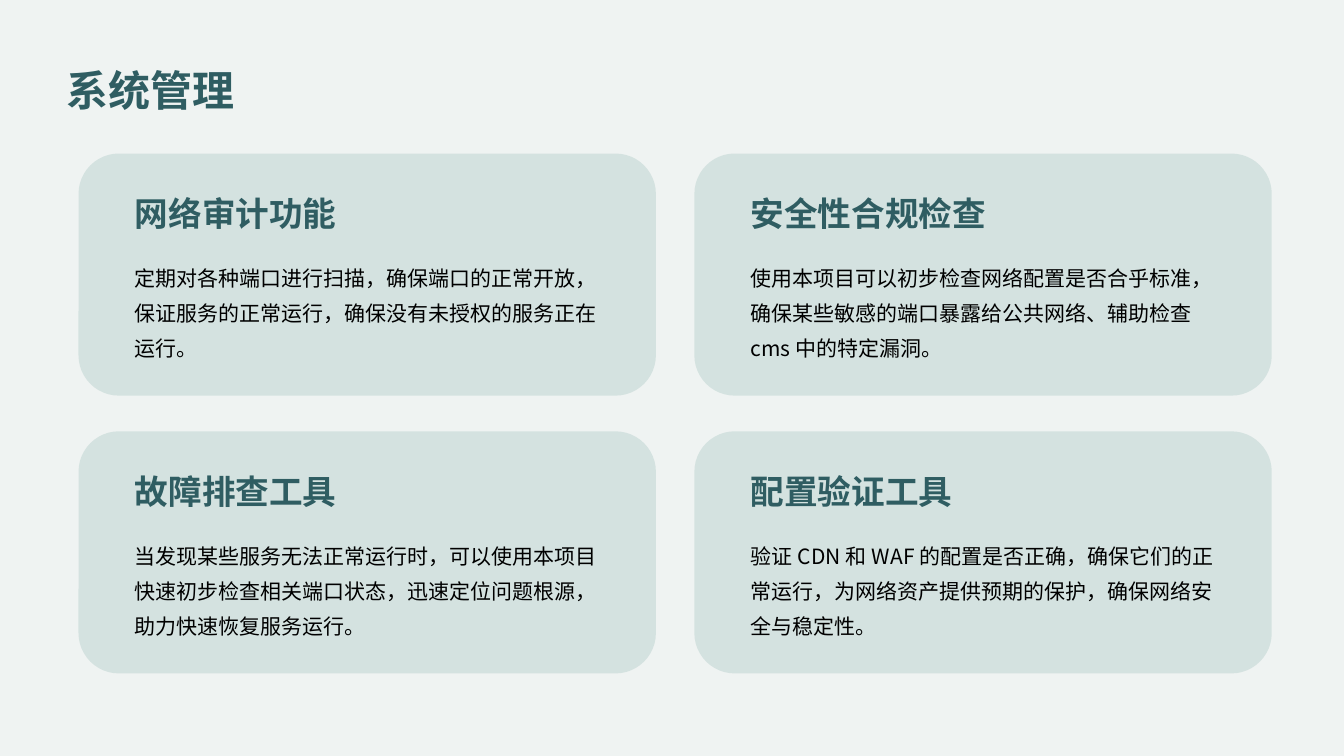
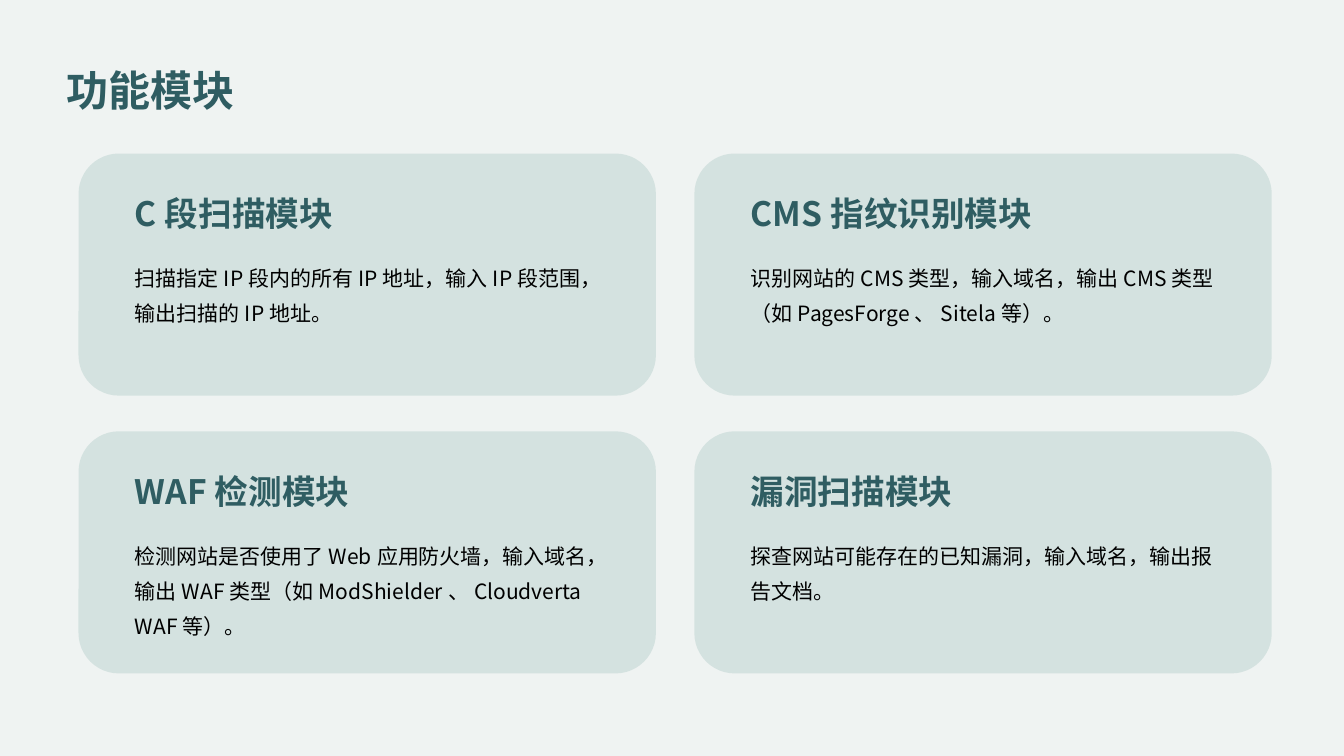
from lxml import etree
from pptx import Presentation
from pptx.dml.color import RGBColor
from pptx.enum.shapes import MSO_SHAPE
from pptx.enum.text import MSO_ANCHOR
from pptx.oxml.ns import qn
from pptx.util import Cm, Pt

ROUNDED = MSO_SHAPE.ROUNDED_RECTANGLE
TOP, MIDDLE, BOTTOM = MSO_ANCHOR.TOP, MSO_ANCHOR.MIDDLE, MSO_ANCHOR.BOTTOM

FONT = "Noto Sans CJK SC"
PAPER, CARD, TEAL, INK = "EFF3F2", "CEDEDC", "2F5D62", "000000"
CARD_OPACITY = 80

GRID_LEFT, GRID_TOP = 1.98, 3.87
CARD_W, CARD_H = 14.55, 6.1
GAP_X, GAP_Y = 0.97, 0.9

SLIDES = [
    ("系统管理", [
        ("网络审计功能",
         "定期对各种端口进行扫描，确保端口的正常开放，保证服务的正常运行，确保没有未授权的服务正在运行。"),
        ("安全性合规检查",
         "使用本项目可以初步检查网络配置是否合乎标准，确保某些敏感的端口暴露给公共网络、辅助检查cms中的特定漏洞。"),
        ("故障排查工具",
         "当发现某些服务无法正常运行时，可以使用本项目快速初步检查相关端口状态，迅速定位问题根源，助力快速恢复服务运行。"),
        ("配置验证工具",
         "验证CDN和WAF的配置是否正确，确保它们的正常运行，为网络资产提供预期的保护，确保网络安全与稳定性。"),
    ]),
    ("功能模块", [
        ("C段扫描模块",
         "扫描指定IP段内的所有IP地址，输入IP段范围，输出扫描的IP地址。"),
        ("CMS指纹识别模块",
         "识别网站的CMS类型，输入域名，输出CMS类型（如PagesForge、Sitela等）。"),
        ("WAF检测模块",
         "检测网站是否使用了Web应用防火墙，输入域名，输出WAF类型（如ModShielder、Cloudverta WAF等）。"),
        ("漏洞扫描模块",
         "探查网站可能存在的已知漏洞，输入域名，输出报告文档。"),
    ]),
]


def paint(fill, color, opacity=100):
    """Fill solidly with a hex colour at an opacity in percent."""
    fill.solid()
    fill.fore_color.rgb = RGBColor.from_string(color)
    if opacity < 100:
        clr = fill._xPr.find(qn("a:solidFill"))[0]
        etree.SubElement(clr, qn("a:alpha")).set("val", str(opacity * 1000))


def add_text(s, box, text, size, color, bold=False, spacing=1.4, anchor=TOP):
    """Add a wrapped one-paragraph text box at box, given in centimetres."""
    tf = s.shapes.add_textbox(*map(Cm, box)).text_frame
    tf.word_wrap = True
    tf.vertical_anchor = anchor
    tf.margin_left = tf.margin_top = tf.margin_bottom = Cm(0.35)
    tf.margin_right = Cm(0.15)
    p = tf.paragraphs[0]
    p.text = text
    p.line_spacing = spacing
    r = p.runs[0]
    r.font.size, r.font.bold, r.font.name = Pt(size), bold, FONT
    paint(r.font.fill, color)
    etree.SubElement(r.font._element, qn("a:ea")).set("typeface", FONT)


def add_card(s, x, y, w, h, heading, body):
    """Draw a rounded card with its heading and body text."""
    sp = s.shapes.add_shape(ROUNDED, Cm(x), Cm(y), Cm(w), Cm(h))
    sp.shadow.inherit = False
    sp.line.fill.background()
    paint(sp.fill, CARD, CARD_OPACITY)
    left = x + 1.07
    add_text(s, (left, y + 0.6, w - 2.61, 1.75), heading, 24, TEAL,
             bold=True, spacing=1.2, anchor=BOTTOM)
    add_text(s, (left, y + 2.21, w - 2.1, 3.35), body, 15, INK)


def add_card_slide(prs, title, cards):
    """Add a slide with a title above a two-column grid of cards."""
    s = prs.slides.add_slide(prs.slide_layouts[6])
    for i, (heading, body) in enumerate(cards):
        row, col = divmod(i, 2)
        x = GRID_LEFT + col * (CARD_W + GAP_X)
        y = GRID_TOP + row * (CARD_H + GAP_Y)
        add_card(s, x, y, CARD_W, CARD_H, heading, body)
    add_text(s, (1.32, 0.74, 31.22, 2.54), title, 30, TEAL,
             bold=True, anchor=MIDDLE)


def main():
    """Build and save the presentation."""
    prs = Presentation()
    prs.slide_width, prs.slide_height = Cm(33.87), Cm(19.05)
    paint(prs.slide_master.background.fill, PAPER)
    for title, cards in SLIDES:
        add_card_slide(prs, title, cards)
    prs.save("out.pptx")


if __name__ == "__main__":
    main()
